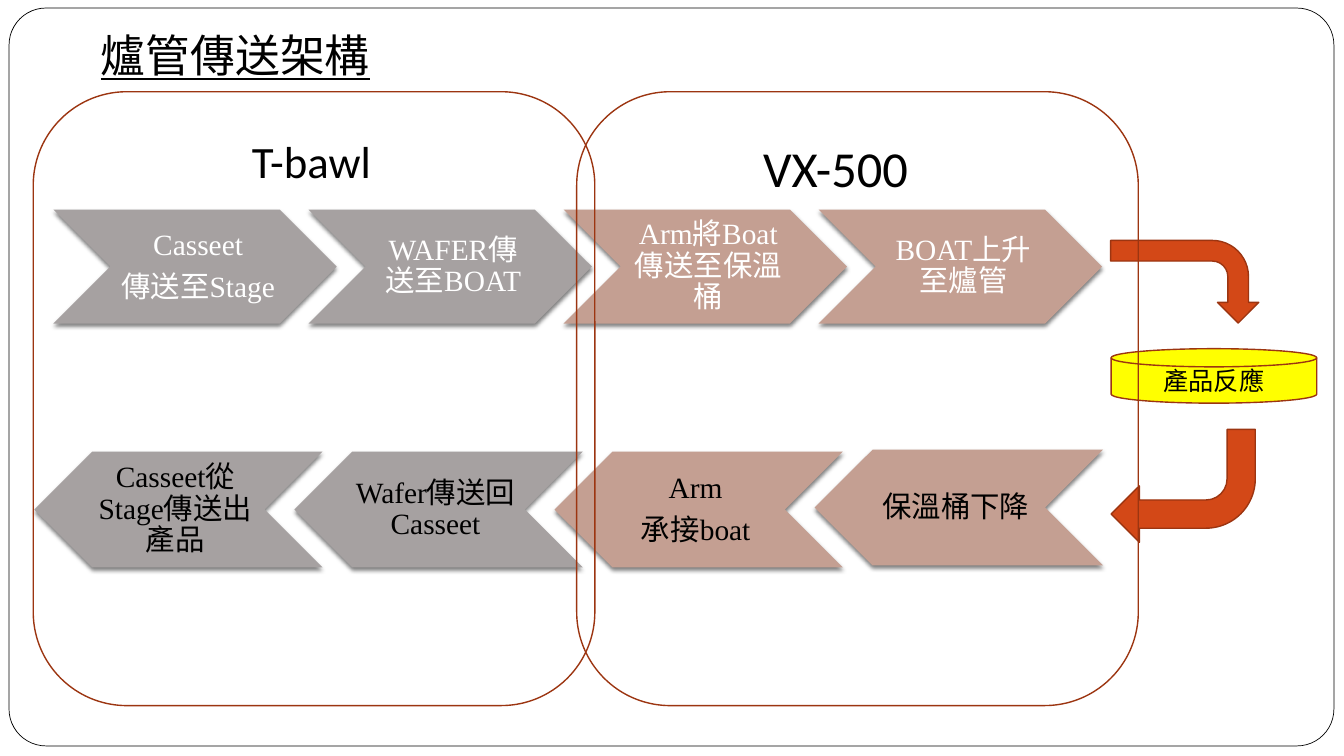
"""Build the furnace tube transfer slide: two equipment zones and a wafer loop."""
from lxml import etree
from pptx import Presentation
from pptx.dml.color import RGBColor
from pptx.enum.shapes import MSO_SHAPE
from pptx.enum.text import MSO_ANCHOR, MSO_AUTO_SIZE, PP_ALIGN
from pptx.oxml.ns import qn
from pptx.util import Inches, Pt

CHEVRON, ROUNDED = MSO_SHAPE.CHEVRON, MSO_SHAPE.ROUNDED_RECTANGLE
BENT_ARROW, DISK = MSO_SHAPE.BENT_ARROW, MSO_SHAPE.FLOWCHART_MAGNETIC_DISK
TOP, MIDDLE = MSO_ANCHOR.TOP, MSO_ANCHOR.MIDDLE
LEFT, CENTER = PP_ALIGN.LEFT, PP_ALIGN.CENTER
COLORS = {"black": "000000", "white": "FFFFFF", "gray": "A6A1A1", "rose": "C49F92",
          "orange": "D34817", "rust": "9C3511", "yellow": "FFFF00"}
SERIF = "Times New Roman"

deck = Presentation()
deck.slide_width, deck.slide_height = Inches(13.33), Inches(7.5)
page = deck.slides.add_slide(deck.slide_layouts[5])


def draw(kind, place, fill=None, line=None, weight=1, turn=0):
    """Add a preset shape with plain fill and outline."""
    shape = page.shapes.add_shape(kind, *map(Inches, place))
    shape.shadow.inherit = False
    shape.rotation = turn
    if fill:
        shape.fill.solid()
        shape.fill.fore_color.rgb = RGBColor.from_string(COLORS[fill])
    else:
        shape.fill.background()
    if line:
        shape.line.color.rgb = RGBColor.from_string(COLORS[line])
        shape.line.width = Pt(weight)
    else:
        shape.line.fill.background()
    return shape


def write(box, lines, size, font, color="black", align=CENTER, anchor=MIDDLE):
    """Fill a shape with one paragraph per line and return its paragraphs."""
    frame = box.text_frame
    frame.word_wrap = True
    frame.auto_size = MSO_AUTO_SIZE.NONE
    frame.vertical_anchor = anchor
    for index, line in enumerate(lines):
        para = frame.add_paragraph() if index else frame.paragraphs[0]
        para.alignment = align
        span = para.add_run()
        span.text = line
        span.font.size = Pt(size)
        span.font.name = font
        span.font.color.rgb = RGBColor.from_string(COLORS[color])
    return frame.paragraphs


card = draw(ROUNDED, (0.09, 0.08, 13.14, 7.32), line="black", weight=0.5)
card.adjustments[0] = 0.05

title = page.shapes.title
title.left, title.top, title.width, title.height = map(Inches, (0.9, 0.22, 4.83, 1.38))
title_para = write(title, ["爐管傳送架構"], 32, "Roboto Condensed", align=LEFT, anchor=TOP)[0]
title_para.runs[0].font.underline = True

ZONE_FILLS = ["gray", "gray", "rose", "rose"]
ROWS = [
    {"left": 0.53, "pitch": 2.53, "width": 2.81, "height": 1.13, "turn": 0,
     "color": "white", "insets": (0.09, 0.03), "tops": [2.08] * 4,
     "steps": [["Casseet", "傳送至Stage"], ["WAFER傳送至BOAT"],
               ["Arm將Boat傳送至保溫桶"], ["BOAT上升至爐管"]]},
    {"left": 0.34, "pitch": 2.58, "width": 2.86, "height": 1.15, "turn": 180,
     "color": "black", "insets": (0.03, 0.09), "tops": [4.48] * 3 + [4.46],
     "steps": [["Casseet從Stage傳送出產品"], ["Wafer傳送回Casseet"],
               ["Arm", "承接boat"], ["保溫桶下降"]]},
]
for row in ROWS:
    width, height = row["width"], row["height"]
    for column, (step, fill, top) in enumerate(zip(row["steps"], ZONE_FILLS, row["tops"])):
        left = row["left"] + column * row["pitch"]
        chevron = draw(CHEVRON, (left, top, width, height), fill, turn=row["turn"])
        effects = chevron.element.spPr.find(qn("a:effectLst"))
        shadow = etree.SubElement(effects, qn("a:outerShdw"), blurRad=str(Pt(3)),
                                  dist=str(Pt(2)), dir="5400000", rotWithShape="0")
        shade = etree.SubElement(shadow, qn("a:srgbClr"), val=COLORS["black"])
        etree.SubElement(shade, qn("a:alpha"), val="50000")

        place = (left + height / 2, top, width - height, height)
        label = page.shapes.add_textbox(*map(Inches, place))
        frame = label.text_frame
        frame.margin_left, frame.margin_right = map(Inches, row["insets"])
        frame.margin_top = frame.margin_bottom = Inches(0.03)
        for para in write(label, step, 21, SERIF, row["color"]):
            para.line_spacing = 0.9
            para.space_after = Pt(7.35)

reaction = draw(DISK, (11.02, 3.46, 2.04, 0.54), "yellow", "rust")
write(reaction, ["產品反應"], 18, SERIF)

ZONES = [("T-bawl", 32, (2.4, 1.28, 1.54, 0.64)), ("VX-500", 36, (7.47, 1.31, 1.74, 0.71))]
for name, size, place in ZONES:
    heading = page.shapes.add_textbox(*map(Inches, place))
    write(heading, [name], size, "Calibri", align=LEFT, anchor=TOP)

for place, turn in [((11.34, 2.06, 0.82, 1.47), 90), ((11.02, 4.26, 1.43, 1.12), 180)]:
    draw(BENT_ARROW, place, "orange", "rust", turn=turn)

for left in (0.33, 5.72):
    draw(ROUNDED, (left, 0.91, 5.57, 6.09), line="rust")

deck.save("out.pptx")
